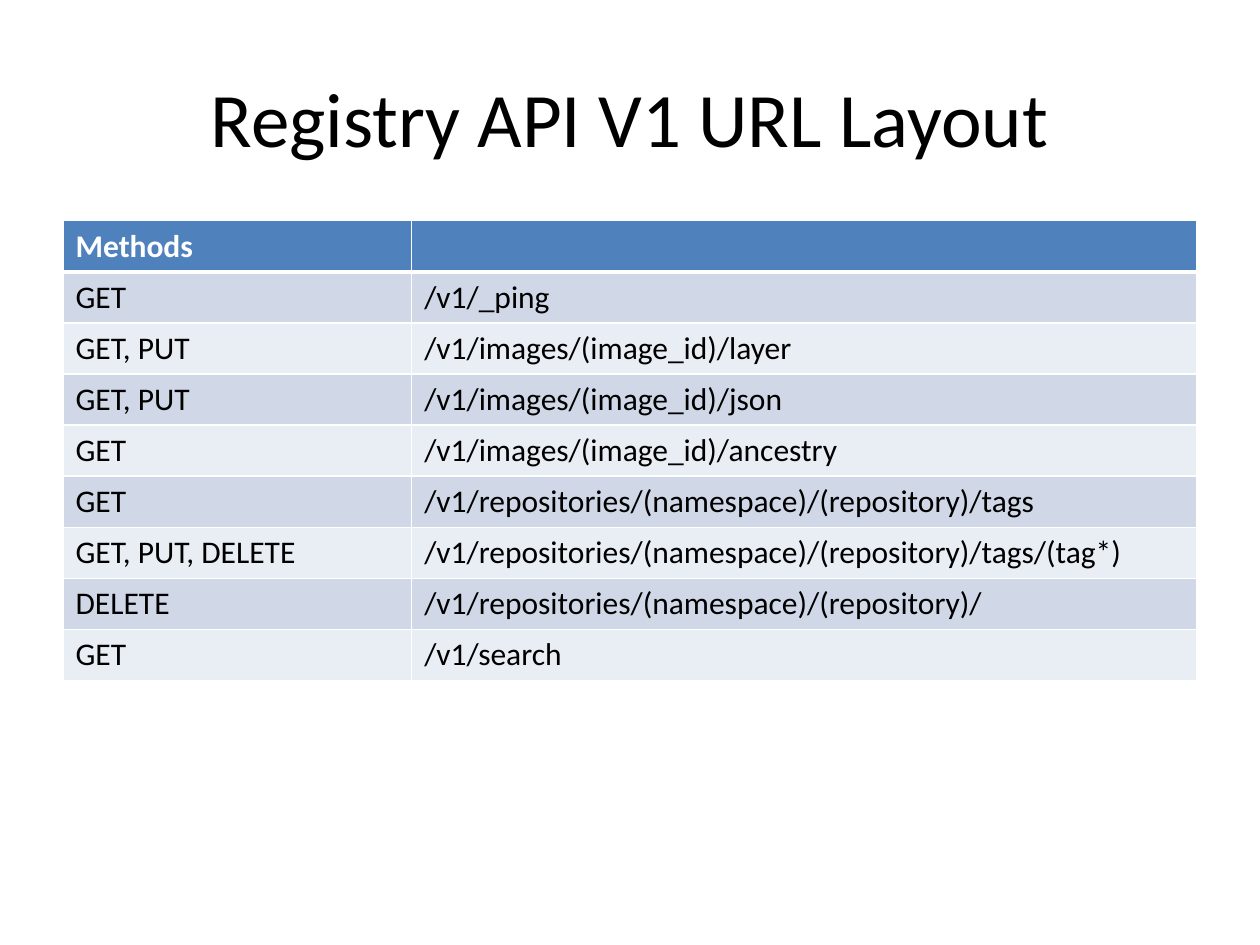
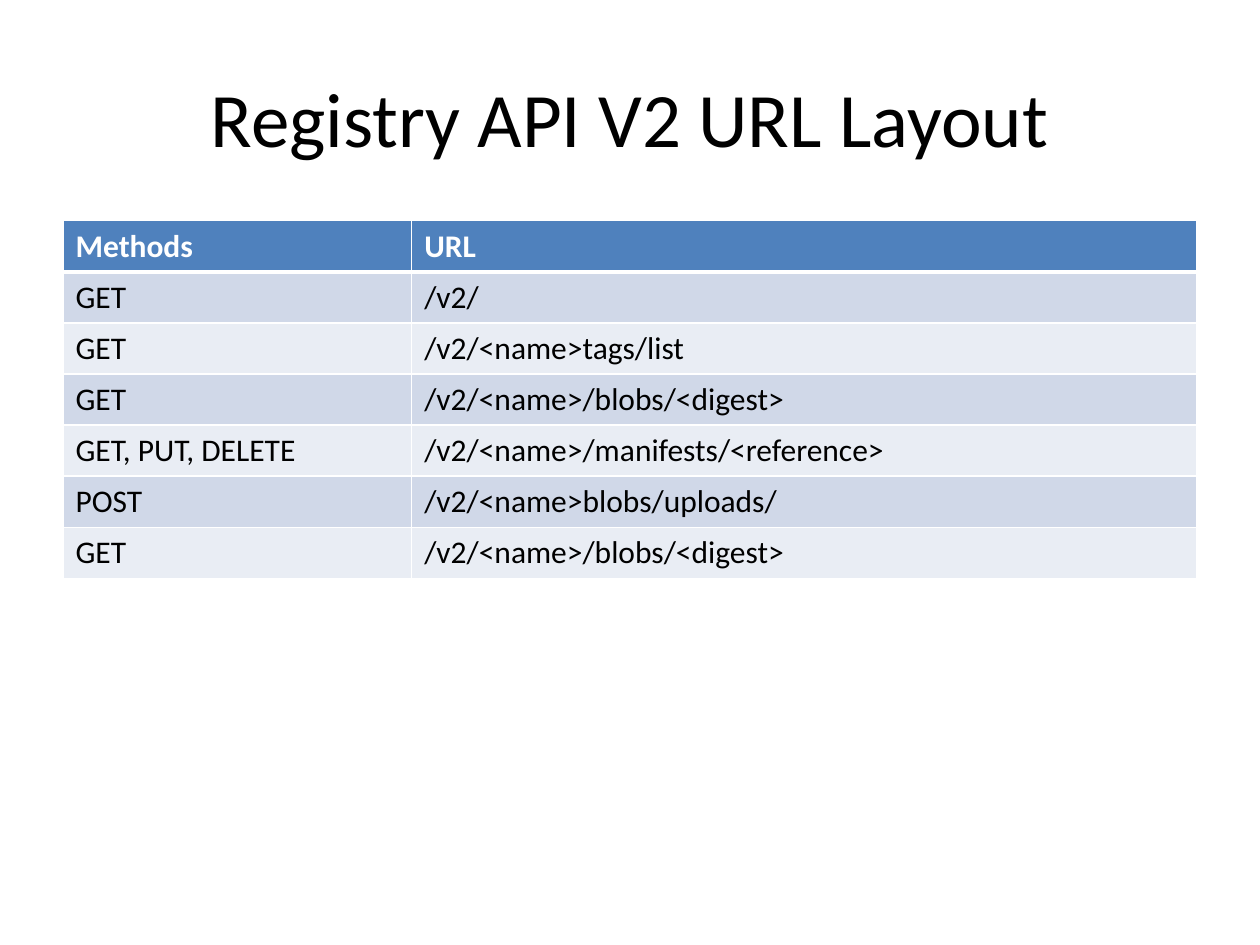
from lxml import etree
from pptx import Presentation
from pptx import util as u
from pptx.dml.color import RGBColor
from pptx.enum import text
from pptx.oxml.ns import qn

FONT = "Calibri"
COLOURS = {
    "text": "000000",
    "header": "4F81BD",
    "header_text": "FFFFFF",
    "border": "FFFFFF",
    "odd_row": "D0D8E8",
    "even_row": "E9EDF4",
}
LEFT, WIDTH = u.Cm(1.27), u.Cm(22.86)
COLUMN_WIDTHS = [u.Cm(7.03), u.Cm(15.83)]
ROW_HEIGHT = u.Cm(1.03)

LAYOUTS = [
    ("Registry API V1 URL Layout", [
        ("Methods", ""),
        ("GET", "/v1/_ping"),
        ("GET, PUT", "/v1/images/(image_id)/layer"),
        ("GET, PUT", "/v1/images/(image_id)/json"),
        ("GET", "/v1/images/(image_id)/ancestry"),
        ("GET", "/v1/repositories/(namespace)/(repository)/tags"),
        ("GET, PUT, DELETE", "/v1/repositories/(namespace)/(repository)/tags/(tag*)"),
        ("DELETE", "/v1/repositories/(namespace)/(repository)/"),
        ("GET", "/v1/search"),
    ]),
    ("Registry API V2 URL Layout", [
        ("Methods", "URL"),
        ("GET", "/v2/"),
        ("GET", "/v2/<name>tags/list"),
        ("GET", "/v2/<name>/blobs/<digest>"),
        ("GET, PUT, DELETE", "/v2/<name>/manifests/<reference>"),
        ("POST", "/v2/<name>blobs/uploads/"),
        ("GET", "/v2/<name>/blobs/<digest>"),
    ]),
]


def add_run(paragraph, words, size, colour, bold=False):
    run = paragraph.add_run()
    run.text = words
    run.font.name = FONT
    run.font.size = u.Pt(size)
    run.font.bold = bold
    run.font.color.rgb = RGBColor.from_string(COLOURS[colour])


def set_borders(cell, top, bottom):
    """Draw all four cell borders; top and bottom are widths in points."""
    properties = cell._tc.get_or_add_tcPr()
    for side, points in (("L", 1), ("R", 1), ("T", top), ("B", bottom)):
        line = etree.SubElement(properties, qn(f"a:ln{side}"), w=str(u.Pt(points)))
        fill = etree.SubElement(line, qn("a:solidFill"))
        etree.SubElement(fill, qn("a:srgbClr"), val=COLOURS["border"])


presentation = Presentation()
presentation.slide_width = u.Cm(25.4)
presentation.slide_height = u.Cm(19.05)

for title, rows in LAYOUTS:
    slide = presentation.slides.add_slide(presentation.slide_layouts[6])

    title_box = slide.shapes.add_textbox(LEFT, u.Cm(0.76), WIDTH, u.Cm(3.18))
    frame = title_box.text_frame
    frame.word_wrap = True
    frame.vertical_anchor = text.MSO_ANCHOR.MIDDLE
    frame.paragraphs[0].alignment = text.PP_ALIGN.CENTER
    add_run(frame.paragraphs[0], title, 44, "text")

    table = slide.shapes.add_table(
        len(rows), len(COLUMN_WIDTHS), LEFT, u.Cm(4.45), WIDTH, ROW_HEIGHT * len(rows)
    ).table
    for column, width in zip(table.columns, COLUMN_WIDTHS):
        column.width = width

    for row_index, row in enumerate(rows):
        is_header = row_index == 0
        if is_header:
            fill_colour = "header"
        else:
            fill_colour = "odd_row" if row_index % 2 else "even_row"
        for column_index, words in enumerate(row):
            cell = table.cell(row_index, column_index)
            set_borders(cell, top=3 if row_index == 1 else 1, bottom=3 if is_header else 1)
            cell.fill.solid()
            cell.fill.fore_color.rgb = RGBColor.from_string(COLOURS[fill_colour])
            if words:
                add_run(cell.text_frame.paragraphs[0], words, 18,
                        "header_text" if is_header else "text", bold=is_header)

presentation.save("out.pptx")
